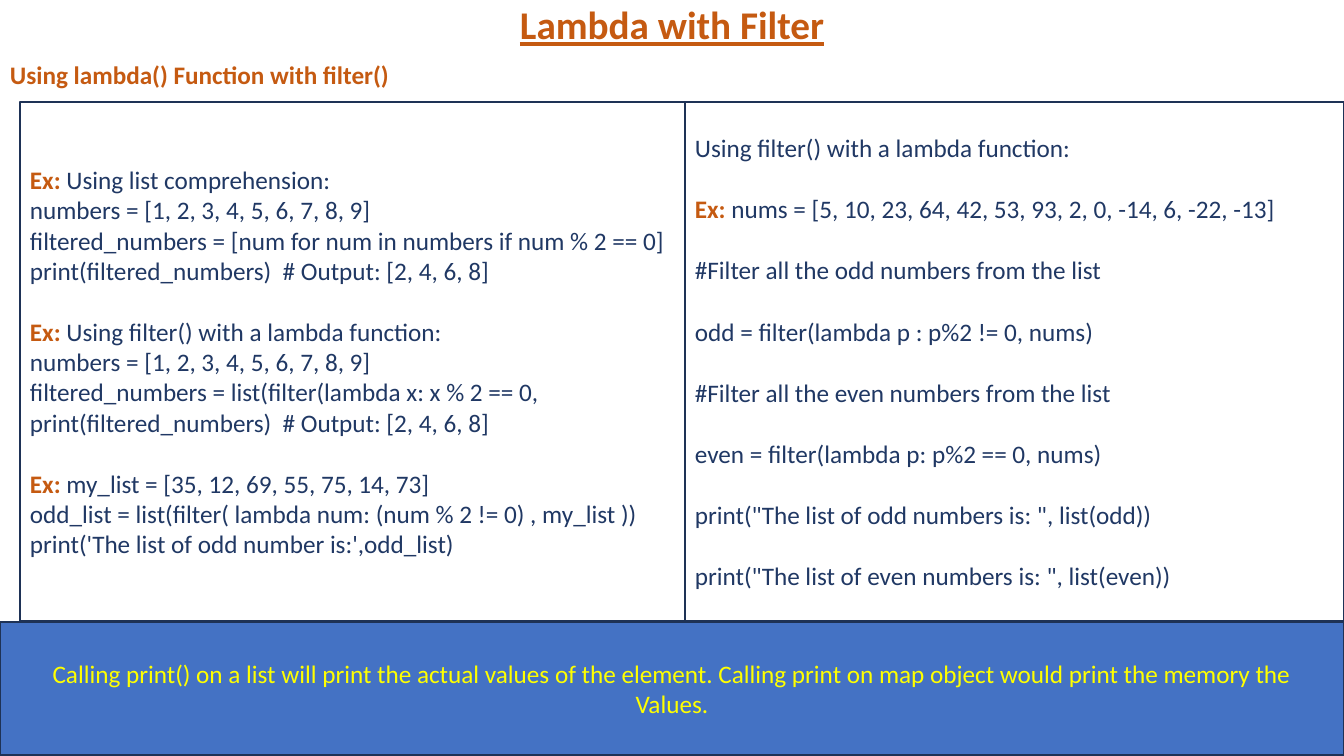
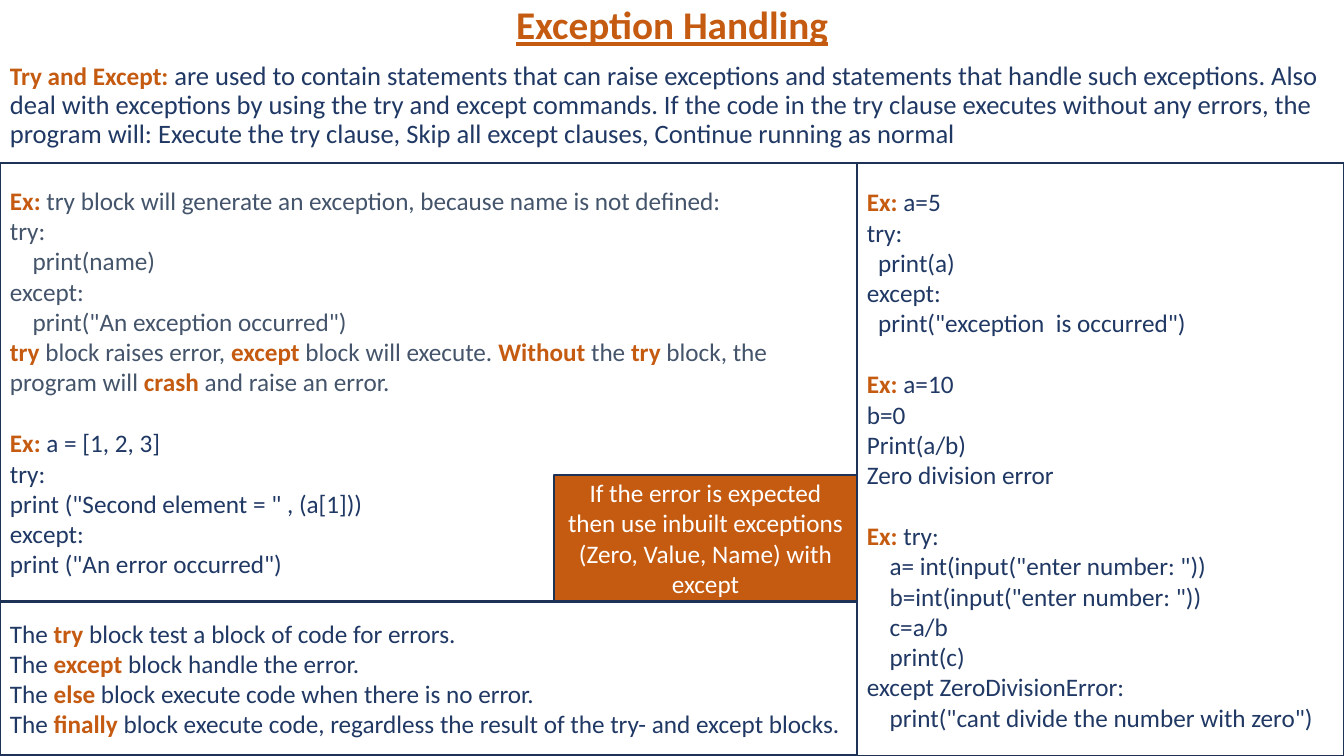
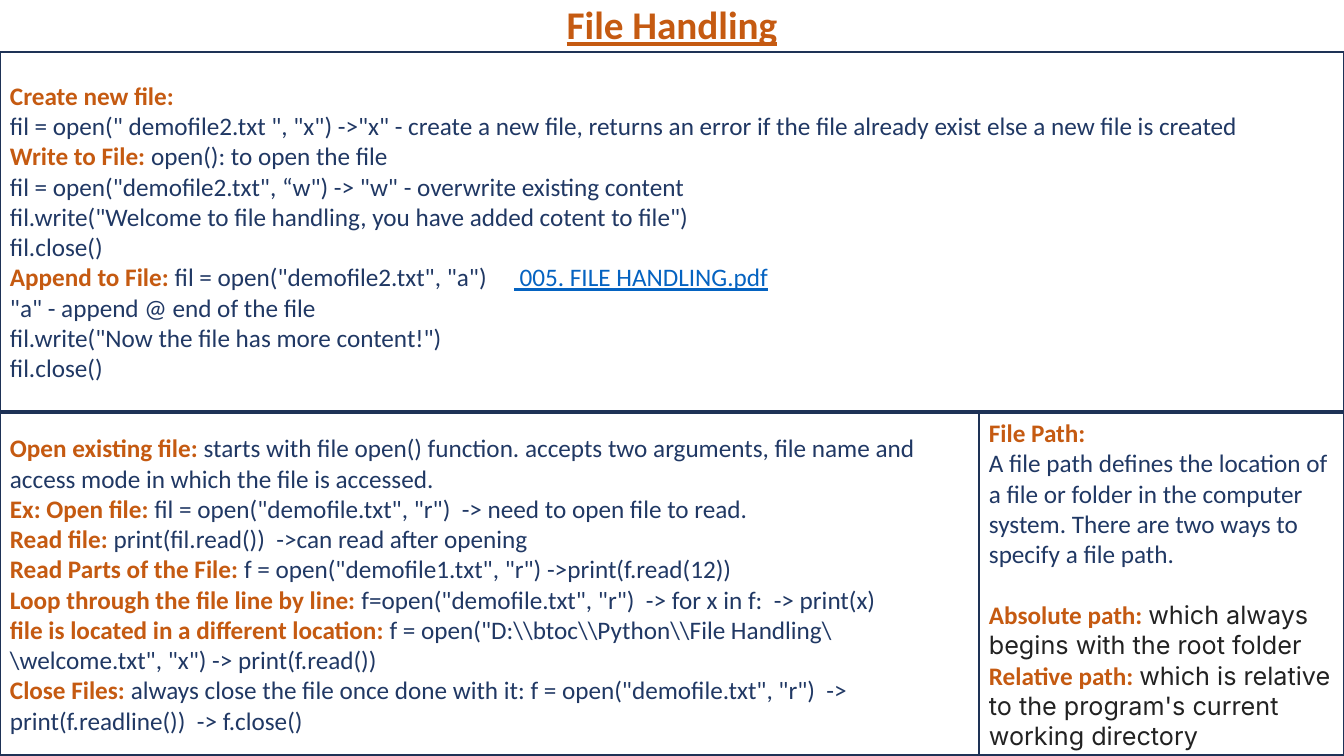
from dataclasses import dataclass
from typing import NamedTuple

from pptx import Presentation
from pptx.dml.color import RGBColor
from pptx.enum.shapes import MSO_SHAPE
from pptx.enum.text import MSO_ANCHOR, MSO_AUTO_SIZE, PP_ALIGN
from pptx.util import Emu, Pt

RECTANGLE = MSO_SHAPE.RECTANGLE
TOP, MIDDLE = MSO_ANCHOR.TOP, MSO_ANCHOR.MIDDLE
LEFT, CENTER = PP_ALIGN.LEFT, PP_ALIGN.CENTER
NO_FIT = MSO_AUTO_SIZE.NONE

SLIDE_W, SLIDE_H = 1344, 756
EMU_PER_PX = 12192000 / SLIDE_W
BLOCK_GAP = Pt(22)
TIGHT = 0.9

ORANGE, NAVY, BORDER, BLUE = "C55A11", "203864", "1E3256", "4472C4"
WHITE = "FFFFFF"


class Style(NamedTuple):
    color: str
    size: int = 18
    bold: bool = False
    underline: bool = False
    font: str = "Calibri"


class Box(NamedTuple):
    left: int
    top: int
    width: int
    height: int


BODY = Style(NAVY)
SLATE = Style("44546A")
INTRO = Style(NAVY, size=19)
TITLE = Style(ORANGE, size=28, bold=True, underline=True)
# Marks that switch a style on and off inside a text
MARKS = {
    "*": Style(ORANGE, bold=True),
    "~": Style("0563C1", underline=True),
    "^": Style("222222", font="Inter"),
}
TITLE_BOX = Box(0, 1, SLIDE_W, 51)


@dataclass
class Block:
    """Lines that stand together; a gap separates one block from the next."""
    text: str
    style: Style = BODY


@dataclass
class Panel:
    box: Box
    blocks: list[Block]
    fill: str = WHITE
    align: PP_ALIGN = LEFT


@dataclass
class Page:
    title: str
    panels: list[Panel]
    intro: str = ""
    intro_height: int = 0


# Drawing
def px(length: int) -> Emu:
    return Emu(round(length * EMU_PER_PX))


def rgb(value: str) -> RGBColor:
    return RGBColor.from_string(value)


def format_run(run, style: Style) -> None:
    font = run.font
    font.name, font.size = style.font, Pt(style.size)
    font.bold, font.underline = style.bold, style.underline
    font.color.rgb = rgb(style.color)


def split_marks(line: str, base: Style) -> list[tuple[str, Style]]:
    pieces, style, text = [], base, ""
    for char in line:
        if char in MARKS:
            if text:
                pieces.append((text, style))
            style, text = (MARKS[char] if style is base else base), ""
        else:
            text += char
    return pieces + [(text, style)] if text else pieces


def fill_line(paragraph, line: str, base: Style) -> None:
    for text, style in split_marks(line, base):
        run = paragraph.add_run()
        run.text = text
        format_run(run, style)


def add_title(slide, text: str) -> None:
    title = slide.shapes.title
    title.left, title.top, title.width, title.height = map(px, TITLE_BOX)
    frame = title.text_frame
    frame.text = text
    frame.auto_size, frame.vertical_anchor = NO_FIT, TOP
    paragraph = frame.paragraphs[0]
    paragraph.alignment, paragraph.line_spacing = CENTER, TIGHT
    format_run(paragraph.runs[0], TITLE)


def add_intro(slide, text: str, height: int) -> None:
    frame = slide.shapes.add_textbox(*map(px, Box(0, 58, SLIDE_W, height))).text_frame
    frame.word_wrap = True
    frame.paragraphs[0].line_spacing = TIGHT
    fill_line(frame.paragraphs[0], text, INTRO)


def add_panel(slide, panel: Panel) -> None:
    shape = slide.shapes.add_shape(RECTANGLE, *map(px, panel.box))
    shape.shadow.inherit = False
    shape.fill.solid()
    shape.fill.fore_color.rgb = rgb(panel.fill)
    shape.line.color.rgb = rgb(BORDER)
    shape.line.width = Pt(1)
    frame = shape.text_frame
    frame.word_wrap, frame.vertical_anchor = True, MIDDLE
    paragraph = None
    for block in panel.blocks:
        for index, line in enumerate(block.text.split("\n")):
            starts_block = paragraph is not None and index == 0
            paragraph = frame.add_paragraph() if paragraph else frame.paragraphs[0]
            paragraph.alignment = panel.align
            if starts_block:
                paragraph.space_before = BLOCK_GAP
            fill_line(paragraph, line, block.style)


# Lambda with filter
FILTER_PAGE = Page(
    "Lambda with Filter",
    intro="*Using lambda() Function with filter()*",
    intro_height=38,
    panels=[
        Panel(Box(0, 622, SLIDE_W, 133), [Block(
            "Calling print() on a list will print the actual values of the element. "
            "Calling print on map object would print the memory the\nValues.",
            Style("FFFF00"))], BLUE, CENTER),
        Panel(Box(685, 102, 659, 519), [Block(line) for line in (
            "Using filter() with a lambda function:",
            "*Ex: *nums = [5, 10, 23, 64, 42, 53, 93, 2, 0, -14, 6, -22, -13]",
            "#Filter all the odd numbers from the list",
            "odd = filter(lambda p : p%2 != 0, nums)",
            "#Filter all the even numbers from the list",
            "even = filter(lambda p: p%2 == 0, nums)",
            'print("The list of odd numbers is: ", list(odd))',
            'print("The list of even numbers is: ", list(even))',
        )]),
        Panel(Box(20, 102, 665, 519), [
            Block("""*Ex: *Using list comprehension:
numbers = [1, 2, 3, 4, 5, 6, 7, 8, 9]
filtered_numbers = [num for num in numbers if num % 2 == 0]
print(filtered_numbers)  # Output: [2, 4, 6, 8]"""),
            Block("""*Ex: *Using filter() with a lambda function:
numbers = [1, 2, 3, 4, 5, 6, 7, 8, 9]
filtered_numbers = list(filter(lambda x: x % 2 == 0,
print(filtered_numbers)  # Output: [2, 4, 6, 8]"""),
            Block("""*Ex: *my_list = [35, 12, 69, 55, 75, 14, 73]
odd_list = list(filter( lambda num: (num % 2 != 0) , my_list ))
print('The list of odd number is:',odd_list)"""),
        ]),
    ],
)

# Exception handling
EXCEPTION_PAGE = Page(
    "Exception Handling",
    intro="*Try and Except: *are used to contain statements that can raise exceptions "
          "and statements that handle such exceptions. Also deal with exceptions by using "
          "the try and except commands. If the code in the try clause executes without any "
          "errors, the program will: Execute the try clause, Skip all except clauses, "
          "Continue running as normal",
    intro_height=100,
    panels=[
        Panel(Box(0, 602, 857, 153), [Block("""The *try* block test a block of code for errors.
The *except* block handle the error.
The *else* block execute code when there is no error.
The *finally* block execute code, regardless the result of the try- and except blocks.""")]),
        Panel(Box(857, 163, 487, 593), [
            Block("""*Ex: *a=5
try:
  print(a)
except:
  print("exception  is occurred")"""),
            Block("""*Ex: *a=10
b=0
Print(a/b)
Zero division error"""),
            Block("""*Ex: *try:
    a= int(input("enter number: "))
    b=int(input("enter number: "))
    c=a/b
    print(c)
except ZeroDivisionError:
    print("cant divide the number with zero")"""),
        ]),
        Panel(Box(0, 163, 857, 438), [
            Block("""*Ex: *try block will generate an exception, because name is not defined:
try:
    print(name)
except:
    print("An exception occurred")
*try* block raises error, *except* block will execute. *Without* the *try *block, the """
                  "program will *crash* and raise an error.", SLATE),
            Block("""*Ex: *a = [1, 2, 3]
try:
print ("Second element = " , (a[1]))
except:
print ("An error occurred")"""),
        ]),
        Panel(Box(554, 475, 303, 126), [Block(
            "If the error is expected then use inbuilt exceptions (Zero, Value, Name) "
            "with except", Style(WHITE))], ORANGE, CENTER),
    ],
)

# File handling
FILE_PAGE = Page(
    "File Handling",
    panels=[
        Panel(Box(0, 52, SLIDE_W, 359), [Block("""*Create new file:*
fil = open(" demofile2.txt ", "x") ->"x" - create a new file, returns an error if the file """
            """already exist else a new file is created
*Write to File: *open(): to open the file
fil = open("demofile2.txt", “w") -> "w" - overwrite existing content
fil.write("Welcome to file handling, you have added cotent to file")
fil.close()
*Append to File: *fil = open("demofile2.txt", "a")\t~ 005. FILE HANDLING.pdf~
"a" - append @ end of the file
fil.write("Now the file has more content!")
fil.close()""")]),
        Panel(Box(0, 413, 979, 342), [Block(
            r"""*Open existing file: *starts with file open() function. accepts two arguments, """
            r"""file name and access mode in which the file is accessed.
*Ex: Open file: *fil = open("demofile.txt", "r")  -> need to open file to read.
*Read file: *print(fil.read())  ->can read after opening
*Read Parts of the File: *f = open("demofile1.txt", "r") ->print(f.read(12))
*Loop through the file line by line: *f=open("demofile.txt", "r")  -> for x in f:  -> print(x)
*file is located in a different location: *f = open("D:\\btoc\\Python\\File Handling"""
            r"""\\welcome.txt", "x") -> print(f.read())
*Close Files: *always close the file once done with it: f = open("demofile.txt", "r")  -> """
            "print(f.readline())  -> f.close()")]),
        Panel(Box(979, 413, 365, 342), [
            Block("*File Path:*\nA file path defines the location of a file or folder in the "
                  "computer system. There are two ways to specify a file path."),
            Block("*Absolute path: *^which always begins with the root folder^\n"
                  "*Relative path: *^which is relative to the program's current "
                  "working directory^"),
        ]),
    ],
)


def main() -> None:
    deck = Presentation()
    deck.slide_width, deck.slide_height = px(SLIDE_W), px(SLIDE_H)
    title_only = deck.slide_layouts[5]
    for page in (FILTER_PAGE, EXCEPTION_PAGE, FILE_PAGE):
        slide = deck.slides.add_slide(title_only)
        add_title(slide, page.title)
        if page.intro:
            add_intro(slide, page.intro, page.intro_height)
        for panel in page.panels:
            add_panel(slide, panel)
    deck.save("out.pptx")


if __name__ == "__main__":
    main()
